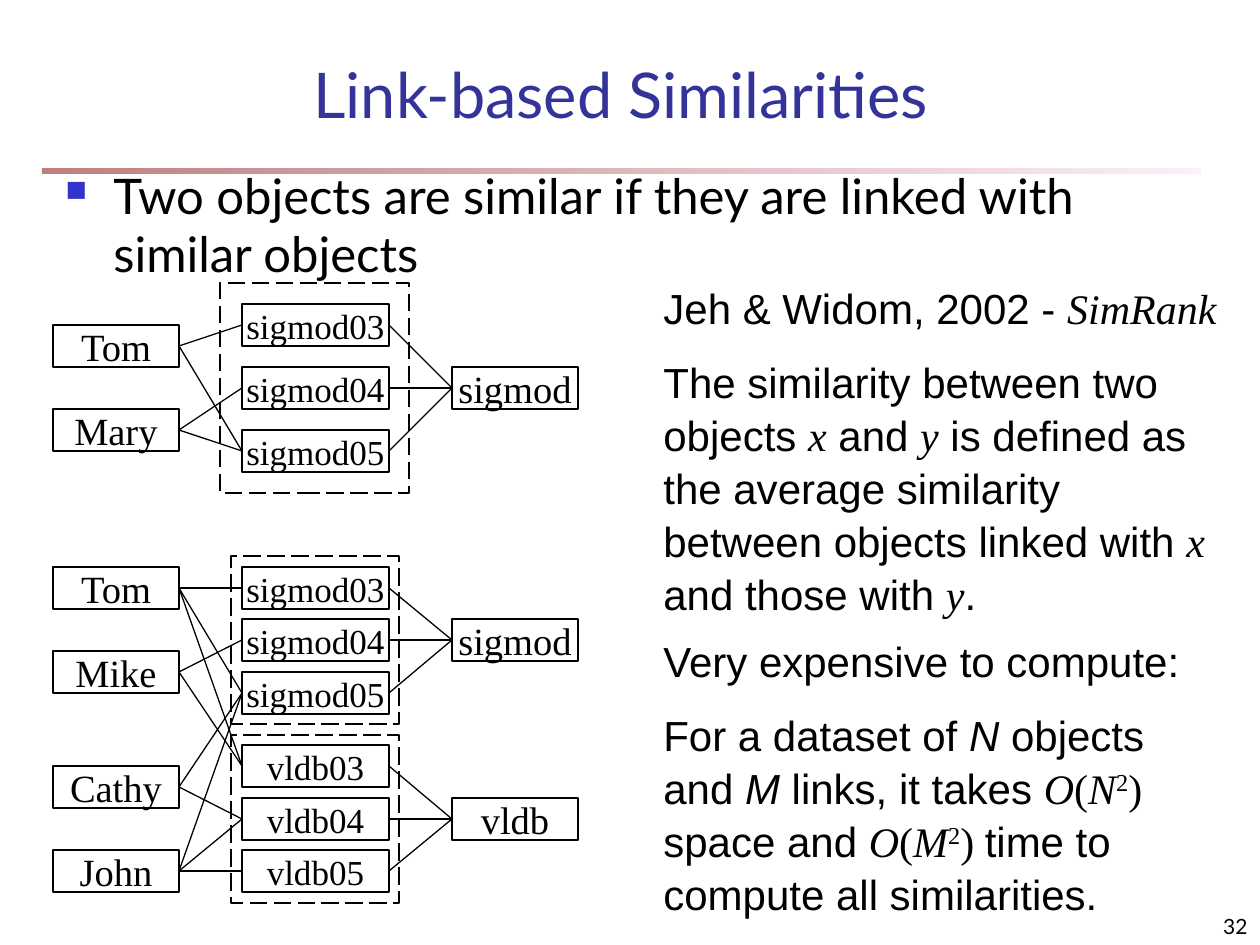
from lxml.etree import SubElement
from pptx import Presentation
from pptx.dml.color import RGBColor
from pptx.enum.dml import MSO_LINE
from pptx.enum.shapes import MSO_CONNECTOR, MSO_SHAPE
from pptx.enum.text import MSO_ANCHOR, PP_ALIGN
from pptx.oxml.ns import qn
from pptx.util import Pt

EMU_PER_PX = 914400 / 126
BLACK, WHITE, NAVY, BULLET_BLUE = "000000", "FFFFFF", "333399", "3333CC"
SANS, SERIF, HEADING = "Arial", "Times New Roman", "Lato"

PERSON_LEFT, PERSON_WIDTH = 53, 126
PAPER_LEFT, PAPER_WIDTH = 242, 147
VENUE_LEFT, VENUE_WIDTH = 452, 126
NODE_HEIGHT = 42

# Names map to the vertical centre of each node; links name their two ends.
SMALL_GRAPH = {
    "people": {"Tom": 346, "Mary": 430},
    "papers": {"sigmod03": 325, "sigmod04": 388, "sigmod05": 451},
    "venues": {"sigmod": 388},
    "authorship": {"Tom": ["sigmod03", "sigmod05"],
                   "Mary": ["sigmod04", "sigmod05"]},
    "frames": [(220, 283, 189, 210)],
}
LARGE_GRAPH = {
    "people": {"Tom": 588, "Mike": 672, "Cathy": 787, "John": 871},
    "papers": {"sigmod03": 588, "sigmod04": 640, "sigmod05": 693,
               "vldb03": 766, "vldb04": 819, "vldb05": 871},
    "venues": {"sigmod": 640, "vldb": 819},
    "authorship": {"Tom": ["sigmod03", "sigmod05", "vldb03"],
                   "Mike": ["sigmod04", "vldb03"],
                   "Cathy": ["sigmod05", "vldb04"],
                   "John": ["sigmod05", "vldb04", "vldb05"]},
    "frames": [(231, 556, 168, 168), (231, 735, 168, 168)],
}

RUN_STYLES = {
    "plain": {"name": SANS},
    "italic": {"name": SANS, "italic": True},
    "serif": {"name": SERIF},
    "math": {"name": SERIF, "italic": True},
    "power": {"name": SERIF},
}
DEFINITION = [
    [("Jeh & Widom, 2002 - ", "plain"), ("SimRank", "math")],
    [("The similarity between two objects ", "plain"), ("x", "math"),
     (" and ", "plain"), ("y", "math"),
     (" is defined as the average similarity between objects linked with ", "plain"),
     ("x", "math"), (" and those with ", "plain"), ("y", "math"), (".", "plain")],
]


def big_o(variable):
    """Runs for the quadratic order of a variable, without the closing bracket."""
    return [("O", "math"), ("(", "serif"), (variable, "math"), ("2", "power")]


COST = [
    [("Very expensive to compute:", "plain")],
    [("For a dataset of ", "plain"), ("N", "italic"), (" objects and ", "plain"),
     ("M", "italic"), (" links, it takes ", "plain"),
     *big_o("N"), (")", "serif"), (" space and ", "plain"),
     *big_o("M"), (") ", "serif"), ("time to compute all similarities.", "plain")],
]


def px(*lengths):
    return [round(length * EMU_PER_PX) for length in lengths]


def color(hex_string):
    return RGBColor.from_string(hex_string)


def set_attributes(target, values):
    for name, value in values.items():
        setattr(target, name, value)


def add_run(paragraph, text, size, font_color=BLACK, **font_values):
    run = paragraph.add_run()
    run.text = text
    set_attributes(run.font, {"size": Pt(size), **font_values})
    run.font.color.rgb = color(font_color)
    return run


def add_text_box(slide, box, **frame_values):
    text_frame = slide.shapes.add_textbox(*px(*box)).text_frame
    set_attributes(text_frame, {"word_wrap": True, **frame_values})
    return text_frame


def add_title(slide, text):
    title = slide.shapes.title
    left, top, width, height = px(84, 53, 1074, 84)
    set_attributes(title, {"left": left, "top": top, "width": width, "height": height})
    title.text_frame.vertical_anchor = MSO_ANCHOR.BOTTOM
    paragraph = title.text_frame.paragraphs[0]
    paragraph.alignment = PP_ALIGN.CENTER
    add_run(paragraph, text, 36, NAVY, name=HEADING)


def add_gradient_rule(slide):
    rule = slide.shapes.add_shape(MSO_SHAPE.RECTANGLE, *px(42, 168, 1159, 6))
    rule.shadow.inherit = False
    rule.line.fill.background()
    rule.fill.gradient()
    rule.fill.gradient_angle = 0
    for stop, hex_string, position in zip(rule.fill.gradient_stops,
                                          ("800000", "FAE2F6"), (0, 1)):
        stop.color.rgb = color(hex_string)
        stop.position = position
    for color_element in rule._element.spPr.iter(qn("a:srgbClr")):
        SubElement(color_element, qn("a:alpha"), val="50000")


def add_bullet_text(slide, text):
    paragraph = add_text_box(slide, (53, 159, 1155, 139)).paragraphs[0]
    properties = paragraph._p.get_or_add_pPr()
    indent = px(48)[0]
    properties.set("marL", str(indent))
    properties.set("indent", str(-indent))
    bullet_color = SubElement(properties, qn("a:buClr"))
    SubElement(bullet_color, qn("a:srgbClr"), val=BULLET_BLUE)
    SubElement(properties, qn("a:buSzPct"), val="60000")
    SubElement(properties, qn("a:buChar"), char="■")
    add_run(paragraph, text, 28, name=HEADING)


def add_rich_text(slide, box, paragraphs):
    text_frame = add_text_box(slide, box)
    for index, runs in enumerate(paragraphs):
        paragraph = text_frame.add_paragraph() if index else text_frame.paragraphs[0]
        paragraph.line_spacing = 1.05
        paragraph.space_before = Pt(12 if index else 0)
        for text, style in runs:
            run = add_run(paragraph, text, 24, **RUN_STYLES[style])
            if style == "power":
                run.font._element.set("baseline", "30000")


def add_box(slide, box, line_width=0.75):
    shape = slide.shapes.add_shape(MSO_SHAPE.RECTANGLE, *px(*box))
    shape.shadow.inherit = False
    shape.fill.background()
    shape.line.color.rgb = color(BLACK)
    shape.line.width = Pt(line_width)
    return shape


def add_node(slide, text, left, center, width, size=22):
    shape = add_box(slide, (left, center - NODE_HEIGHT // 2, width, NODE_HEIGHT))
    set_attributes(shape.text_frame, {"word_wrap": False,
                                      "vertical_anchor": MSO_ANCHOR.MIDDLE})
    paragraph = shape.text_frame.paragraphs[0]
    paragraph.alignment = PP_ALIGN.CENTER
    add_run(paragraph, text, size, name=SERIF)
    return shape


def add_paper(slide, text, center):
    shape = add_node(slide, text, PAPER_LEFT, center, PAPER_WIDTH, size=20)
    shape.fill.solid()
    shape.fill.fore_color.rgb = color(WHITE)
    side = px(6)[0]
    set_attributes(shape.text_frame, {"margin_left": side, "margin_right": side,
                                      "margin_top": 0, "margin_bottom": 0})


def add_link(slide, *ends):
    connector = slide.shapes.add_connector(MSO_CONNECTOR.STRAIGHT, *px(*ends))
    connector.line.color.rgb = color(BLACK)
    connector.line.width = Pt(0.75)
    SubElement(connector._element.spPr, qn("a:effectLst"))


def add_graph(slide, graph):
    people, papers, venues = graph["people"], graph["papers"], graph["venues"]
    for person, center in people.items():
        add_node(slide, person, PERSON_LEFT, center, PERSON_WIDTH)
        for paper in graph["authorship"][person]:
            add_link(slide, PERSON_LEFT + PERSON_WIDTH, center, PAPER_LEFT, papers[paper])
    for paper, center in papers.items():
        add_paper(slide, paper, center)
        venue = paper.rstrip("0123456789")
        add_link(slide, PAPER_LEFT + PAPER_WIDTH, center, VENUE_LEFT, venues[venue])
    for venue, center in venues.items():
        add_node(slide, venue, VENUE_LEFT, center, VENUE_WIDTH)
    for frame in graph["frames"]:
        add_box(slide, frame, 1.25).line.dash_style = MSO_LINE.LONG_DASH


def add_slide_number(slide, number):
    text_frame = add_text_box(slide, (998, 892, 262, 53), vertical_anchor=MSO_ANCHOR.BOTTOM)
    paragraph = text_frame.paragraphs[0]
    paragraph.alignment = PP_ALIGN.RIGHT
    add_run(paragraph, number, 12, name=HEADING)


def main():
    presentation = Presentation()
    presentation.slide_width, presentation.slide_height = px(1260, 945)
    slide = presentation.slides.add_slide(presentation.slide_layouts[5])
    add_gradient_rule(slide)
    add_title(slide, "Link-based Similarities")
    add_bullet_text(slide, "Two objects are similar if they are linked with similar objects")
    for graph in (SMALL_GRAPH, LARGE_GRAPH):
        add_graph(slide, graph)
    add_rich_text(slide, (651, 274, 588, 340), DEFINITION)
    add_rich_text(slide, (651, 627, 557, 290), COST)
    add_slide_number(slide, "32")
    presentation.save("out.pptx")


if __name__ == "__main__":
    main()
